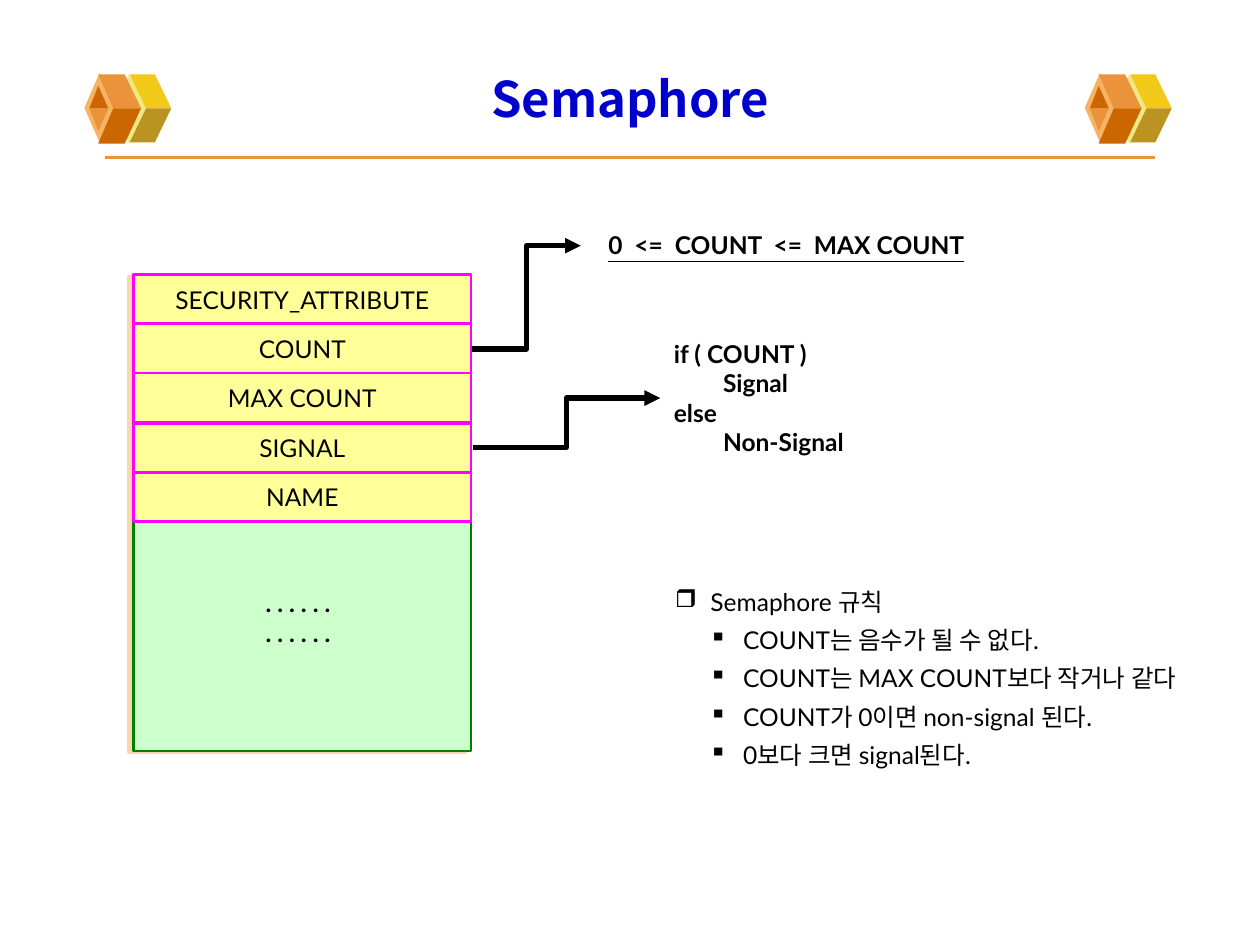
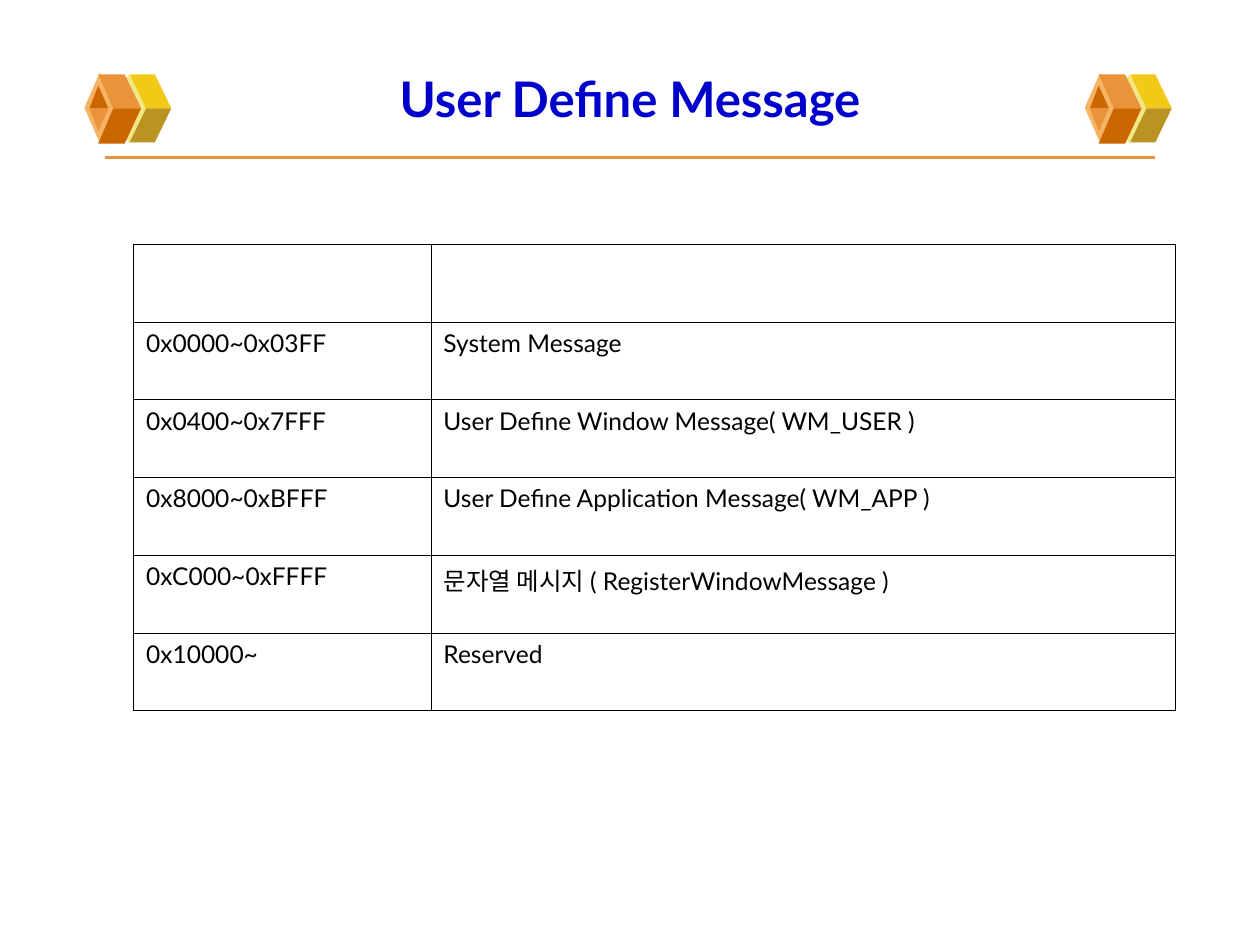
from dataclasses import dataclass

from lxml.etree import SubElement
from pptx import Presentation
from pptx.dml.color import RGBColor as RGB
from pptx.enum.shapes import MSO_CONNECTOR as CONN, MSO_SHAPE as SHAPE
from pptx.enum.text import MSO_ANCHOR as ANCHOR, MSO_AUTO_SIZE as AUTO, PP_ALIGN as ALIGN
from pptx.oxml import parse_xml
from pptx.oxml.ns import nsdecls, qn
from pptx.util import Pt

PX = 9144


@dataclass(frozen=True)
class Theme:
    latin: str = "Lato"
    korean: str = "Noto Sans CJK KR"
    title_size: int = 28
    body_size: int = 14
    title: str = "0000CC"
    ink: str = "000000"
    orange: str = "EB933B"
    dark_orange: str = "CC6600"
    light_orange: str = "F5B363"
    yellow: str = "F3C917"
    olive: str = "BB9321"
    pale_yellow: str = "F1E785"
    field: str = "FFFF99"
    field_line: str = "FF00FF"
    block: str = "CCFFCC"
    block_line: str = "008000"


T = Theme()

DIAMONDS = [
    (T.pale_yellow, (86, 59, 33, 55)),
    (T.light_orange, (67, 58, 24, 55)),
]
FACES = [
    (T.yellow, [(116, 86), (136, 86), (123, 59), (103, 59)]),
    (T.olive, [(116, 86), (136, 86), (123, 113), (103, 113)]),
    (T.orange, [(90, 86), (112, 86), (99, 59), (78, 59)]),
    (T.dark_orange, [(90, 86), (112, 86), (99, 114), (78, 114)]),
    (T.dark_orange, [(78, 68), (71, 86), (86, 86)]),
    (T.orange, [(78, 104), (71, 86), (86, 86)]),
]


def write(tf, lines, size=T.body_size, color=T.ink, name=T.latin, bold=False, align=ALIGN.LEFT):
    tf.word_wrap = False
    for i, line in enumerate(lines):
        p = tf.paragraphs[0] if i == 0 else tf.add_paragraph()
        p.alignment = align
        r = p.add_run()
        r.text = line
        for font in (p.font, r.font):
            font.name, font.size, font.bold = name, Pt(size), bold
            font.color.rgb = RGB.from_string(color)
    return tf.paragraphs


def add_titled_slide(prs, title, name):
    s = prs.slides.add_slide(prs.slide_layouts[6])
    rule = s.shapes.add_connector(CONN.STRAIGHT, 83 * PX, 125 * PX, 917 * PX, 125 * PX)
    rule.line.color.rgb = RGB.from_string(T.orange)
    rule.line.width = Pt(2.25)
    SubElement(rule._element.spPr, qn("a:effectLst"))
    for dx in (0, 794):
        parts = []
        for color, (x, y, w, h) in DIAMONDS:
            sp = s.shapes.add_shape(SHAPE.DIAMOND, (x + dx) * PX, y * PX, w * PX, h * PX)
            parts.append((color, sp))
        for color, points in FACES:
            (x, y), *rest = [(px + dx, py) for px, py in points]
            outline = s.shapes.build_freeform(x, y, scale=PX)
            outline.add_line_segments(rest)
            parts.append((color, outline.convert_to_shape()))
        for color, sp in parts:
            sp.fill.solid()
            sp.fill.fore_color.rgb = RGB.from_string(color)
            sp.line.fill.background()
            sp.shadow.inherit = False
    tf = s.shapes.add_textbox(50 * PX, 30 * PX, 900 * PX, 95 * PX).text_frame
    tf.vertical_anchor = ANCHOR.MIDDLE
    write(tf, [title], T.title_size, T.title, name, True, ALIGN.CENTER)
    tf.word_wrap = True
    return s


prs = Presentation()
prs.slide_width, prs.slide_height = 1000 * PX, 750 * PX

s = add_titled_slide(prs, "Semaphore", T.korean)
fields = ["SECURITY_ATTRIBUTE", "COUNT", "MAX COUNT", "SIGNAL", "NAME"]
boxes = [("", 218, 378, T.block, T.block_line)]
boxes += [(f, round(218 + i * 39.25), 39, T.field, T.field_line) for i, f in enumerate(fields)]
for label, y, h, fill, line in boxes:
    sp = s.shapes.add_shape(SHAPE.RECTANGLE, 106 * PX, y * PX, 268 * PX, h * PX)
    sp.fill.solid()
    sp.fill.fore_color.rgb = RGB.from_string(fill)
    sp.line.color.rgb = RGB.from_string(line)
    sp.line.width = Pt(1.5)
    sp.shadow.inherit = False
    if label:
        sp.text_frame.vertical_anchor = ANCHOR.MIDDLE
        write(sp.text_frame, [label], align=ALIGN.CENTER)
    else:
        sp._element.spPr.find(qn("a:effectLst")).append(parse_xml(
            f'<a:outerShdw {nsdecls("a")} blurRad="0" dist="40640" dir="9720000" algn="ctr" '
            f'rotWithShape="0"><a:srgbClr val="{T.light_orange}"><a:alpha val="50000"/>'
            f'</a:srgbClr></a:outerShdw>'))

notes = [
    ((201, 462, 78, 57), True, [". . . . . .", ". . . . . ."]),
    ((526, 454, 439, 162), False, [
        "Semaphore 규칙",
        "COUNT는 음수가 될 수 없다.",
        "COUNT는 MAX COUNT보다 작거나 같다",
        "COUNT가 0이면 non-signal 된다.",
        "0보다 크면 signal된다.",
    ]),
    ((473, 178, 306, 34), True, ["0  <=  COUNT  <=  MAX COUNT"]),
    ((525, 264, 165, 104), True, ["if ( COUNT )", "\tSignal", "else", "\tNon-Signal"]),
]
texts = []
for box, bold, lines in notes:
    tf = s.shapes.add_textbox(*(v * PX for v in box)).text_frame
    tf.auto_size = AUTO.SHAPE_TO_FIT_TEXT
    texts.append(write(tf, lines, bold=bold))
dots, rules, limits, code = texts

for i, p in enumerate(rules):
    p.line_spacing = 1.3
    p.level = min(i, 1)
    pPr = p._p.get_or_add_pPr()
    pPr.set("marL", str((54 if i else 28) * PX))
    pPr.set("indent", str((-27 if i else -28) * PX))
    bullet = parse_xml(f'<a:buChar {nsdecls("a")} char="{"▪" if i else "❒"}"/>')
    pPr.find(qn("a:defRPr")).addprevious(bullet)
for font in (limits[0].font, limits[0].runs[0].font):
    font.underline = True
for p in code:
    tabs = parse_xml(f'<a:tabLst {nsdecls("a")}><a:tab pos="{39 * PX}" algn="l"/></a:tabLst>')
    p._p.get_or_add_pPr().find(qn("a:defRPr")).addprevious(tabs)

for y1, x2, y2 in [(277, 461, 195), (355, 524, 316)]:
    arrow = s.shapes.add_connector(CONN.ELBOW, 375 * PX, y1 * PX, x2 * PX, y2 * PX)
    arrow.line.color.rgb = RGB.from_string(T.ink)
    arrow.line.width = Pt(3)
    SubElement(arrow.line._get_or_add_ln(), qn("a:tailEnd"), type="triangle")
    SubElement(arrow._element.spPr, qn("a:effectLst"))

s = add_titled_slide(prs, "User Define Message", T.latin)
messages = [
    ("", ""),
    ("0x0000~0x03FF", "System Message"),
    ("0x0400~0x7FFF", "User Define Window Message( WM_USER )"),
    ("0x8000~0xBFFF", "User Define Application Message( WM_APP )"),
    ("0xC000~0xFFFF", "문자열 메시지 ( RegisterWindowMessage )"),
    ("0x10000~", "Reserved"),
]
last = len(messages) - 1
table = s.shapes.add_table(len(messages), 2, 106 * PX, 194 * PX, 827 * PX, 370 * PX).table
table.first_row = table.horz_banding = False
for column, width in zip(table.columns, (236, 591)):
    column.width = width * PX
for i, message in enumerate(messages):
    for j, text in enumerate(message):
        cell = table.cell(i, j)
        cell.fill.background()
        if text:
            write(cell.text_frame, [text])[0].space_before = Pt(3.5)
            cell.text_frame.word_wrap = True
        outer = {"L": j == 0, "R": j == 1, "T": i == 0, "B": i == last}
        for k, (side, is_outer) in enumerate(outer.items()):
            width = Pt(1.08 if is_outer else 0.45)
            cell._tc.get_or_add_tcPr().insert(k, parse_xml(
                f'<a:ln{side} {nsdecls("a")} w="{width}"><a:solidFill>'
                f'<a:srgbClr val="{T.ink}"/></a:solidFill></a:ln{side}>'))

prs.save("out.pptx")
